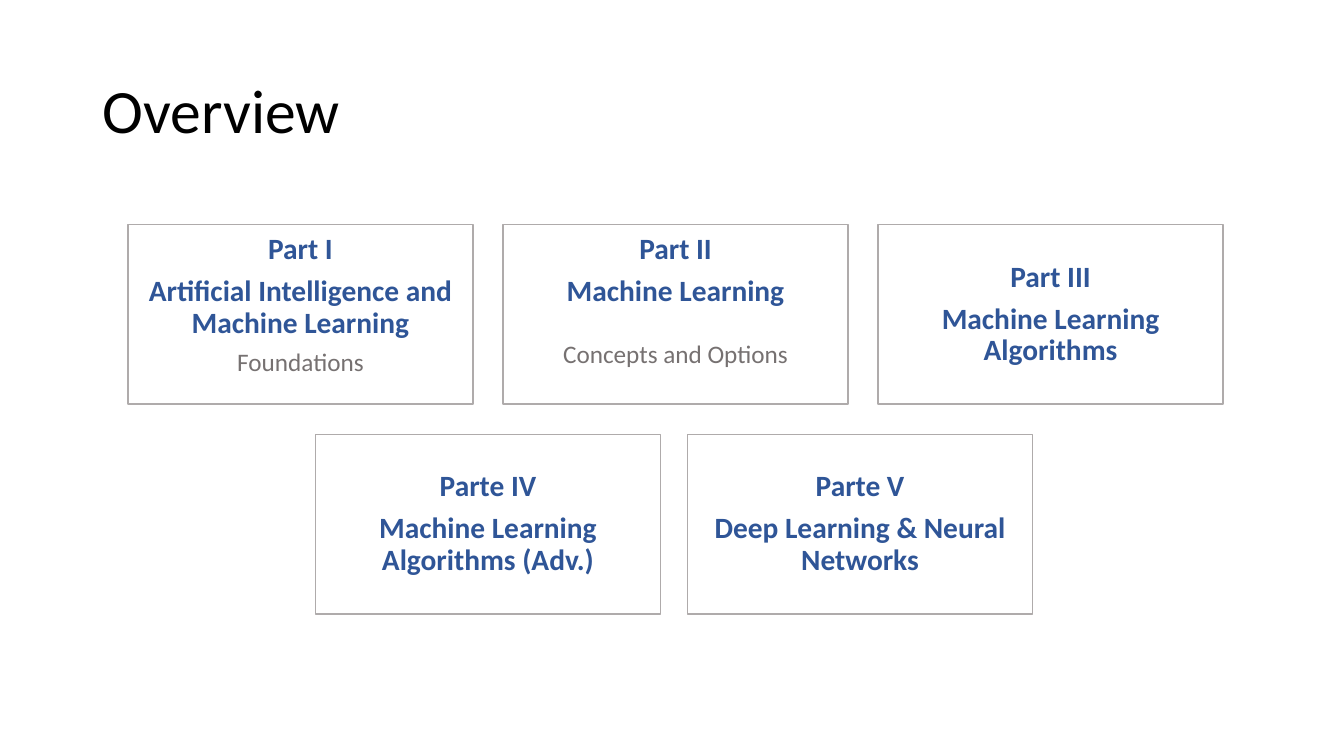
from pptx import Presentation
from pptx.dml.color import RGBColor
from pptx.enum.shapes import MSO_SHAPE as Shape
from pptx.enum.text import MSO_ANCHOR as Anchor, PP_ALIGN as Align
from pptx.util import Inches, Pt

BLACK = RGBColor(0x00, 0x00, 0x00)
WHITE = RGBColor(0xFF, 0xFF, 0xFF)
BLUE = RGBColor(0x2F, 0x55, 0x97)
GRAY = RGBColor(0x76, 0x71, 0x71)
EDGE = RGBColor(0xAF, 0xAB, 0xAB)
HEAD = dict(size=21, color=BLUE, bold=True, after=7.35)
NOTE = dict(size=18, color=GRAY, after=6.3)
WIDE = HEAD | dict(after=24.5)


def write(para, text, size=18, color=BLACK, bold=False, align=Align.CENTER, after=0):
    para.alignment = align
    para.line_spacing = 0.9
    para.space_after = Pt(after)
    run = para.add_run()
    run.text = text
    font = run.font
    font.name = "Calibri"
    font.size = Pt(size)
    font.bold = bold
    font.color.rgb = color


class Deck:
    def __init__(self):
        self.file = Presentation()
        self.file.slide_width = Inches(13.33)
        self.file.slide_height = Inches(7.5)
        self.slide = self.file.slides.add_slide(self.file.slide_layouts[5])

    def title(self, text, left, top, width, height):
        box = self.slide.shapes.title
        box.left, box.top = Inches(left), Inches(top)
        box.width, box.height = Inches(width), Inches(height)
        frame = box.text_frame
        frame.vertical_anchor = Anchor.MIDDLE
        write(frame.paragraphs[0], text, size=44, align=Align.LEFT)

    def card(self, lines, left, top, anchor):
        box = self.slide.shapes.add_shape(
            Shape.RECTANGLE, Inches(left), Inches(top), Inches(3.42), Inches(1.78))
        box.shadow.inherit = False
        box.fill.solid()
        box.fill.fore_color.rgb = WHITE
        box.line.color.rgb = EDGE
        box.line.width = Pt(1)
        frame = box.text_frame
        frame.word_wrap = True
        frame.vertical_anchor = anchor
        frame.margin_left = frame.margin_right = Inches(0.08)
        frame.margin_top = frame.margin_bottom = Inches(0.09)
        for i, (text, style) in enumerate(lines):
            para = frame.add_paragraph() if i else frame.paragraphs[0]
            write(para, text, **style)


ROWS = [
    (1.27, 2.23, 3.72, [
        (Anchor.TOP, [("Part I", HEAD),
                      ("Artificial Intelligence and Machine Learning", HEAD),
                      ("Foundations", NOTE)]),
        (Anchor.TOP, [("Part II", HEAD), ("Machine Learning", WIDE),
                      ("Concepts and Options", NOTE)]),
        (Anchor.MIDDLE, [("Part III", HEAD), ("Machine Learning Algorithms", HEAD)]),
    ]),
    (3.13, 4.31, 3.69, [
        (Anchor.MIDDLE, [("Parte IV", HEAD),
                         ("Machine Learning Algorithms (Adv.)", HEAD)]),
        (Anchor.MIDDLE, [("Parte V", HEAD),
                         ("Deep Learning & Neural Networks", HEAD)]),
    ]),
]


def main():
    deck = Deck()
    deck.title("Overview", 0.92, 0.4, 11.5, 1.45)
    for left, top, step, cards in ROWS:
        for i, (anchor, lines) in enumerate(cards):
            deck.card(lines, left + i * step, top, anchor)
    deck.file.save("out.pptx")


if __name__ == "__main__":
    main()
